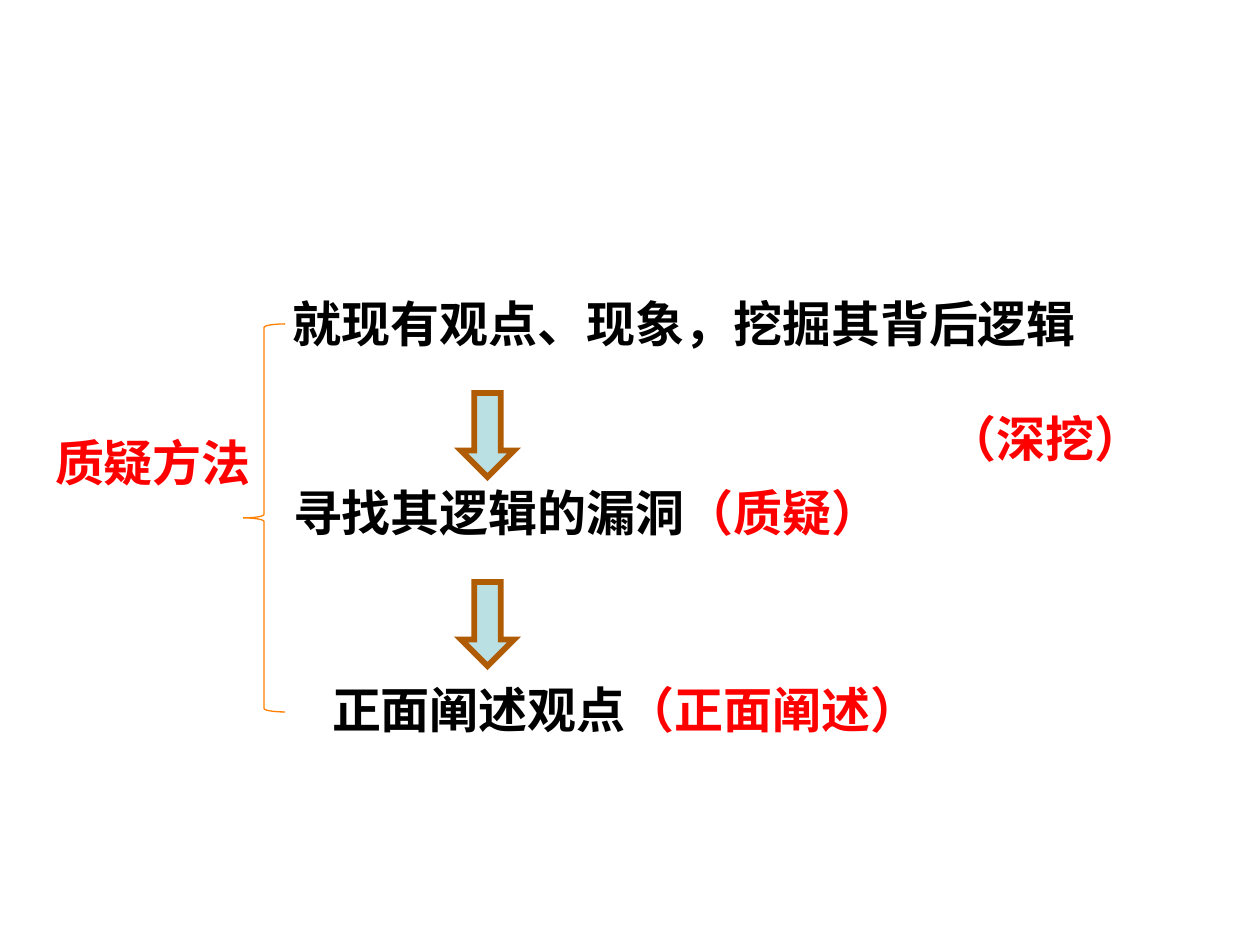
from pptx import Presentation, util as u
from pptx.dml import color
from pptx.enum import shapes, text
from pptx.oxml import ns
from lxml import etree

EMU_PER_PX = 914400 / 126
BLACK, RED = "000000", "FF0000"


def px(length):
    return u.Emu(round(length * EMU_PER_PX))


def rgb(value):
    return color.RGBColor.from_string(value)


class MethodSlide:
    """Style of the outline and the slide it is drawn on."""

    font = "Noto Sans CJK SC"
    size = 28

    def __init__(self, slide):
        self.slide = slide

    def label(self, box, *lines):
        """Each line is (alignment, space before, [(wording, colour), ...])."""
        frame = self.slide.shapes.add_textbox(*map(px, box)).text_frame
        frame.word_wrap = True
        frame.vertical_anchor = text.MSO_ANCHOR.TOP
        frame.margin_left, frame.margin_right = px(25), px(13)
        frame.margin_top, frame.margin_bottom = px(0), px(6)
        for index, (alignment, gap, parts) in enumerate(lines):
            line = frame.paragraphs[0] if index == 0 else frame.add_paragraph()
            line.alignment = alignment
            line.space_before = u.Pt(gap)
            line._p.get_or_add_pPr().set("marL", str(px(5)))
            for wording, hue in parts:
                self.run(line, wording, hue)

    def run(self, line, wording, hue):
        run = line.add_run()
        run.text = wording
        run.font.name = self.font
        run.font.size = u.Pt(self.size)
        run.font.bold = True
        run.font.color.rgb = rgb(hue)
        # East Asian typeface
        typeface = etree.SubElement(run._r.get_or_add_rPr(), ns.qn("a:ea"))
        typeface.set("typeface", self.font)

    def shape(self, kind, box, line, width, fill=None):
        shape = self.slide.shapes.add_shape(kind, *map(px, box))
        shape.shadow.inherit = False
        shape.line.color.rgb = rgb(line)
        shape.line.width = u.Pt(width)
        # Sharp corners
        outline = shape.line._get_or_add_ln()
        etree.SubElement(outline, ns.qn("a:miter")).set("lim", "800000")
        if fill:
            shape.fill.solid()
            shape.fill.fore_color.rgb = rgb(fill)
        else:
            shape.fill.background()

    def brace(self, box):
        self.shape(shapes.MSO_SHAPE.LEFT_BRACE, box, "FF8000", 0.75)

    def arrow(self, box):
        self.shape(shapes.MSO_SHAPE.DOWN_ARROW, box, "B05C05", 3.34, "BBE0E3")


def main():
    deck = Presentation()
    deck.slide_width, deck.slide_height = px(1260), px(945)
    method = MethodSlide(deck.slides.add_slide(deck.slide_layouts[6]))
    left, right = text.PP_ALIGN.LEFT, text.PP_ALIGN.RIGHT

    # Topic and brace
    method.label((25, 433, 347, 73), (left, 0, [("质疑方法", RED)]))
    method.brace((243, 324, 42, 388))

    # Three steps
    method.label(
        (263, 294, 893, 136),
        (left, 0, [("就现有观点、现象，挖掘其背后逻辑", BLACK)]),
        (right, 32, [("（深挖）", RED)]),
    )
    method.label(
        (263, 483, 788, 73),
        (left, 0, [("寻找其逻辑的漏洞", BLACK), ("（质疑）", RED)]),
    )
    method.label(
        (302, 680, 903, 73),
        (left, 0, [("正面阐述观点", BLACK), ("（正面阐述）", RED)]),
    )

    # Arrows between the steps
    for top in (393, 582):
        method.arrow((461, top, 53, 84))

    deck.save("out.pptx")


if __name__ == "__main__":
    main()
